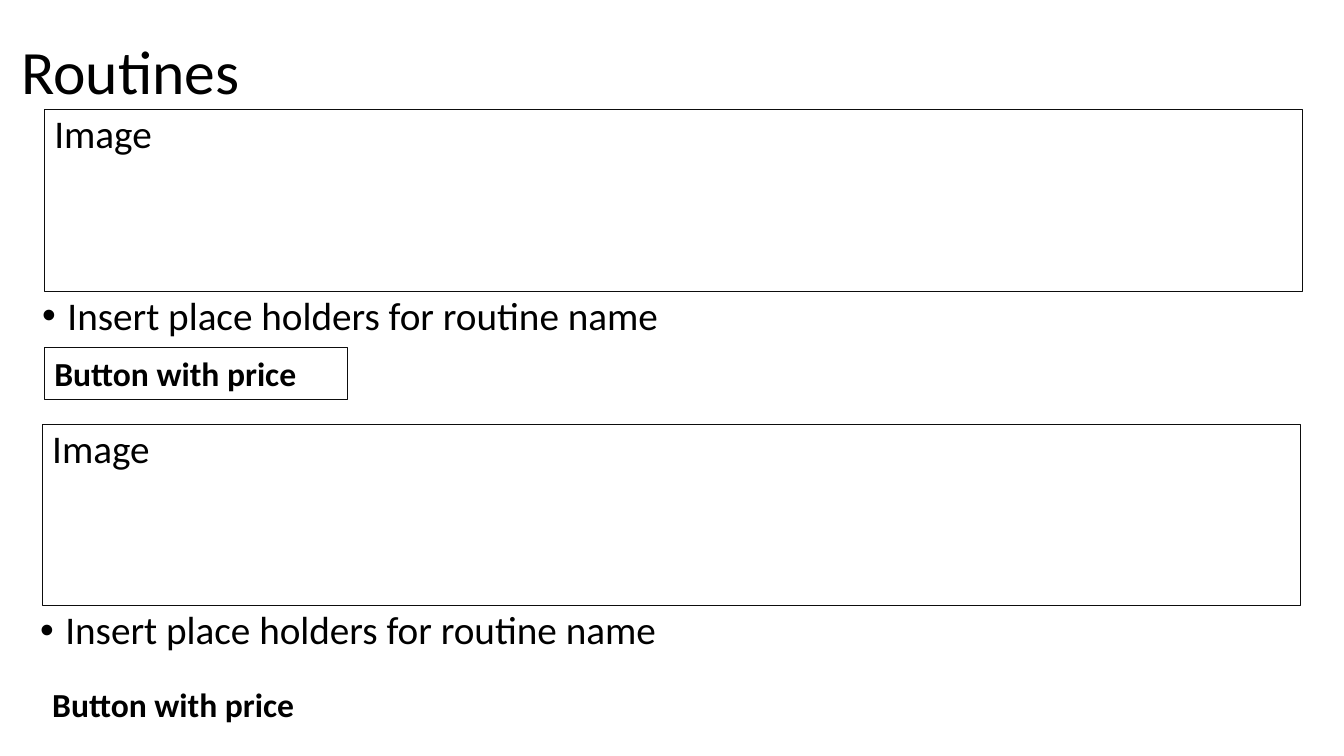
from lxml.etree import SubElement
from pptx import Presentation
from pptx.dml.color import RGBColor
from pptx.enum.shapes import MSO_SHAPE
from pptx.enum.text import MSO_ANCHOR, PP_ALIGN
from pptx.oxml.ns import qn
from pptx.util import Pt

COLORS = {"text": "000000", "line": "0D0D0D"}
FONT = "Calibri"
TITLE = "Routines"
IMAGE_LABEL = "Image"
NAME_LABEL = "Insert place holders for routine name"
BUTTON_LABEL = "Button with price"

IMAGE_SIZE = (898.6, 129.6)
NAME_SIZE = (540, 88.6)
NAME_OUTDENT = 8.6
BULLET_INDENT = 18

# The button top is measured from the bottom edge of the image frame.
ROUTINES = [
    {"left": 31.7, "top": 78.5, "button_top": 40.3, "button_size": (216.7, 36.7), "framed": True},
    {"left": 30.2, "top": 303.1, "button_top": 23.8, "button_size": (406, 64.8), "framed": False},
]


def style_text(shape, text, size, bold=False, anchor=MSO_ANCHOR.TOP, before=10):
    """Write one left-aligned paragraph and return it."""
    frame = shape.text_frame
    frame.word_wrap = True
    frame.vertical_anchor = anchor
    para = frame.paragraphs[0]
    para.text = text
    para.alignment = PP_ALIGN.LEFT
    para.line_spacing = 0.9
    para.space_before = Pt(before)
    font = para.runs[0].font
    font.name, font.size, font.bold = FONT, Pt(size), bold
    font.color.rgb = RGBColor.from_string(COLORS["text"])
    return para


def add_box(page, left, top, size, framed):
    """Add an outlined rectangle, or a plain text box when not framed."""
    bounds = [Pt(value) for value in (left, top, *size)]
    if not framed:
        return page.shapes.add_textbox(*bounds)
    box = page.shapes.add_shape(MSO_SHAPE.RECTANGLE, *bounds)
    box.shadow.inherit = False
    box.fill.background()
    box.line.color.rgb = RGBColor.from_string(COLORS["line"])
    box.line.width = Pt(0.75)
    return box


def add_bullet(para):
    """Give a paragraph a round bullet with a hanging indent."""
    properties = para._p.get_or_add_pPr()
    properties.set("marL", str(Pt(BULLET_INDENT)))
    properties.set("indent", str(-Pt(BULLET_INDENT)))
    SubElement(properties, qn("a:buFont"), typeface="Arial")
    SubElement(properties, qn("a:buChar"), char="•")


def add_routine(page, left, top, button_top, button_size, framed):
    """Add the button, name line and image frame of one routine."""
    bottom = top + IMAGE_SIZE[1]
    button = add_box(page, left, bottom + button_top, button_size, framed)
    style_text(button, BUTTON_LABEL, 24, bold=True, anchor=MSO_ANCHOR.BOTTOM)
    name = add_box(page, left - NAME_OUTDENT, bottom, NAME_SIZE, False)
    add_bullet(style_text(name, NAME_LABEL, 28))
    image = add_box(page, left, top, IMAGE_SIZE, True)
    style_text(image, IMAGE_LABEL, 28)


deck = Presentation()
deck.slide_width, deck.slide_height = Pt(960), Pt(540)
page = deck.slides.add_slide(deck.slide_layouts[5])

title = page.shapes.title
title.left, title.top, title.width, title.height = Pt(7.9), Pt(0.7), Pt(828), Pt(104.4)
style_text(title, TITLE, 44, anchor=MSO_ANCHOR.MIDDLE, before=0)

for routine in ROUTINES:
    add_routine(page, **routine)

deck.save("out.pptx")
